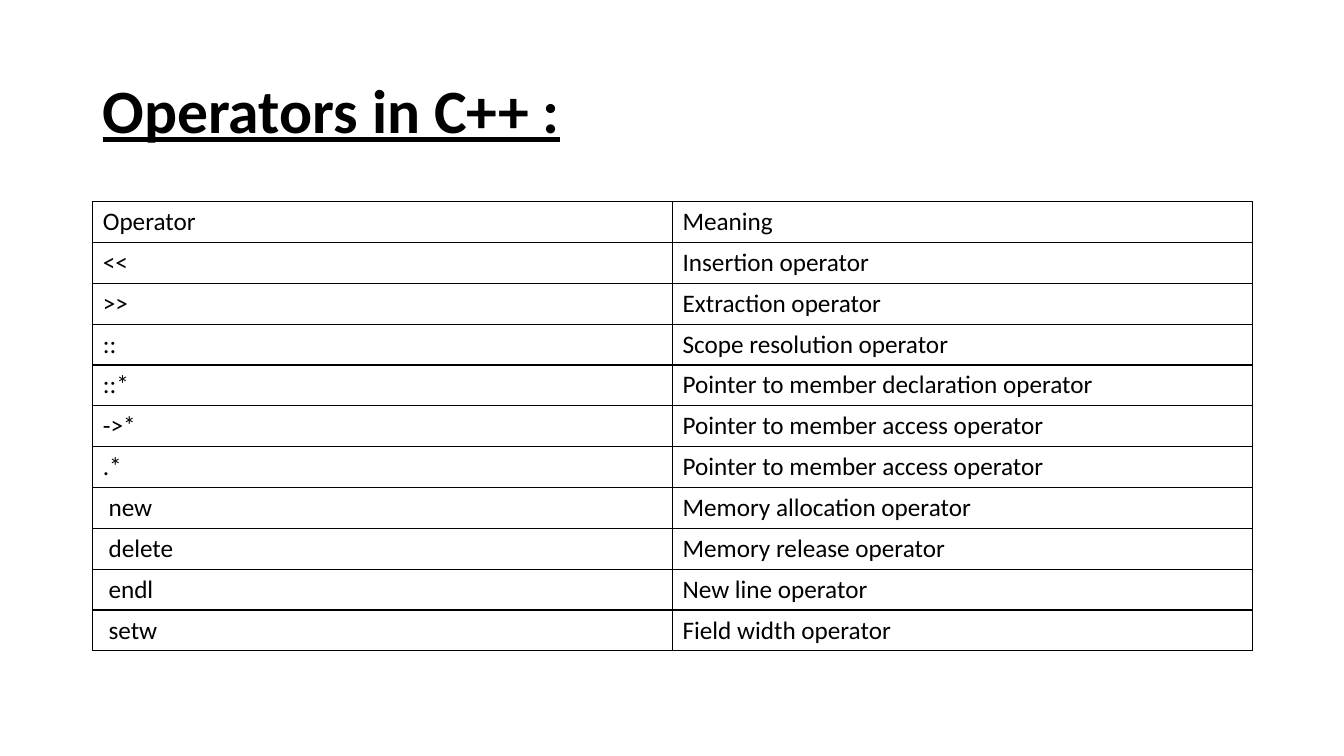
from lxml.etree import SubElement as Sub
from pptx import Presentation
from pptx.dml.color import RGBColor
from pptx.enum.text import MSO_ANCHOR as Anchor
from pptx.oxml.ns import qn
from pptx.util import Inches, Pt

BLACK = RGBColor(0, 0, 0)
WHITE = RGBColor(255, 255, 255)

LEFT, WIDTH = 0.92, 11.5
ROWS = [
    ("Operator", "Meaning"),
    ("<<", "Insertion operator"),
    (">>", "Extraction operator"),
    ("::", "Scope resolution operator"),
    ("::*", "Pointer to member declaration operator"),
    ("->*", "Pointer to member access operator"),
    (".*", "Pointer to member access operator"),
    (" new", "Memory allocation operator"),
    (" delete", "Memory release operator"),
    (" endl", "New line operator"),
    (" setw", "Field width operator"),
]


class Deck:
    """Holds the text style and the current slide."""

    style = {"name": "Calibri", "size": Pt(18)}

    def __init__(self, show):
        self.slide = show.slides.add_slide(show.slide_layouts[6])

    def label(self, frame, text, **extra):
        para = frame.paragraphs[0]
        run = para.add_run()
        run.text = text
        for key, value in {**self.style, **extra}.items():
            setattr(run.font, key, value)
        run.font.color.rgb = BLACK
        return para

    def title(self, text, top, height):
        box = self.slide.shapes.add_textbox(
            Inches(LEFT), Inches(top), Inches(WIDTH), Inches(height))
        frame = box.text_frame
        frame.word_wrap = True
        frame.vertical_anchor = Anchor.MIDDLE
        para = self.label(frame, text, size=Pt(44), bold=True, underline=True)
        para.line_spacing = 0.9

    def border(self, cell):
        props = cell._tc.get_or_add_tcPr()
        for spot, side in enumerate(("lnL", "lnR", "lnT", "lnB")):
            line = Sub(props, qn(f"a:{side}"), w=str(Pt(1)))
            fill = Sub(line, qn("a:solidFill"))
            Sub(fill, qn("a:srgbClr"), val=str(BLACK))
            props.insert(spot, line)  # borders come before the fill

    def table(self, rows, top, height):
        grid = self.slide.shapes.add_table(
            len(rows), len(rows[0]), Inches(LEFT), Inches(top),
            Inches(WIDTH), Inches(height)).table
        for r, row in enumerate(rows):
            for c, text in enumerate(row):
                cell = grid.cell(r, c)
                cell.fill.solid()
                cell.fill.fore_color.rgb = WHITE
                self.border(cell)
                self.label(cell.text_frame, text)


def main():
    show = Presentation()
    show.slide_width, show.slide_height = Inches(13.33), Inches(7.5)
    deck = Deck(show)
    # Heading
    deck.title("Operators in C++ :", 0.4, 1.45)
    # Operator table
    deck.table(ROWS, 2, 4.46)
    show.save("out.pptx")


if __name__ == "__main__":
    main()
